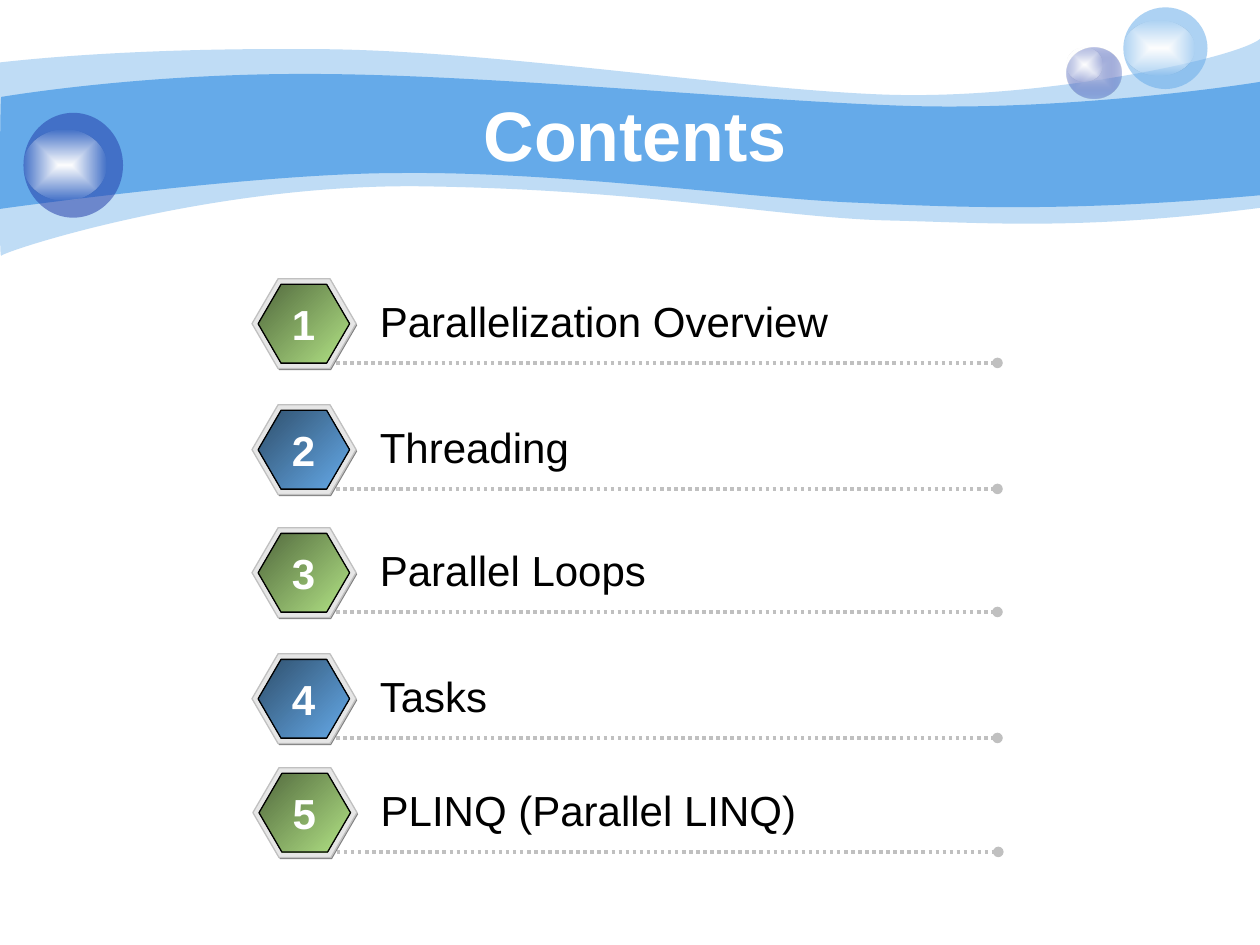
"""Build a contents slide with a wavy banner, glossy bubbles and five numbered entries."""
from dataclasses import dataclass

from lxml import etree
from pptx import Presentation
from pptx import util as u
from pptx.dml.color import RGBColor
from pptx.enum import dml, shapes, text
from pptx.oxml import parse_xml
from pptx.oxml.ns import nsdecls, qn

FONT = "Arial"
BLUE, NAVY, WHITE = "65AAE9", "233DA9", "FFFFFF"
GREEN_FACE, BLUE_FACE = ("52693E", "B2E385"), ("2F4F6C", BLUE)
RADIAL = ('<a:path path="rect"><a:fillToRect l="50000" t="50000" '
          'r="50000" b="50000"/></a:path>')
DIAGONAL = '<a:lin ang="2700000" scaled="1"/>'


@dataclass(frozen=True)
class Tint:
    color: str
    opacity: int = 100


@dataclass(frozen=True)
class Box:
    x: float
    y: float
    w: float
    h: float

    def lengths(self):
        return [u.Pt(v) for v in (self.x, self.y, self.w, self.h)]


@dataclass(frozen=True)
class Band:
    tint: Tint
    start: tuple
    segments: tuple


@dataclass(frozen=True)
class Bubble:
    body: Box
    shine: Box
    tints: tuple


@dataclass(frozen=True)
class Entry:
    label: str
    top: float
    face: tuple
    shift: float = 0


BANDS = (
    Band(Tint(BLUE, 41), (0, 35.7), (
        (17.3, 33.8, 77, 27.4, 177.8, 28.1), (277.9, 28.1, 414, 50.4, 503.3, 54),
        (591.8, 57.6, 705.6, 33.8, 720, 22.3), (720, 118.8),
        (617.8, 131.8, 566.6, 127.4, 507.6, 126),
        (447.8, 124.6, 370.8, 108.7, 247, 106.6),
        (123.8, 103.7, 2.9, 143.3, 0.7, 146.2), (-0.7, 149.8, 0, 54, 0, 35.7))),
    Band(Tint(BLUE), (0.7, 55.4), (
        (1.4, 55.4, 79.2, 41.8, 178.6, 42.3), (277.9, 42.5, 428.4, 57.6, 517, 60.5),
        (605.5, 63.4, 702.7, 49.7, 720, 46.8), (720, 111.6),
        (614.2, 121, 550.8, 118.8, 491, 115.9),
        (431.3, 113.8, 321.8, 97.9, 228.2, 98.9),
        (146.2, 98.9, -1.4, 119.5, -0.7, 119.5), (0, 119.5, 0, 55.4, 0.7, 55.4))),
)
BUBBLES = (
    Bubble(Box(609.6, 27, 31, 29.3), Box(609.6, 27.2, 20.3, 19.5),
           (Tint("C7CEE9"), Tint(NAVY, 31))),
    Bubble(Box(641.9, 4.2, 48.1, 46.7), Box(641.9, 12, 40.4, 31), (Tint(BLUE, 53),)),
    Bubble(Box(13.4, 64.5, 56.9, 59.9), Box(13.4, 74.2, 47.3, 40.2), (Tint(NAVY, 53),)),
)
ENTRIES = (
    Entry("Parallelization Overview", 159.2, GREEN_FACE),
    Entry("Threading", 231.2, BLUE_FACE),
    Entry("Parallel Loops", 301.5, GREEN_FACE),
    Entry("Tasks", 373.5, BLUE_FACE),
    Entry("PLINQ (Parallel LINQ)", 438.6, GREEN_FACE, 0.5),
)


def rgb(color: str) -> RGBColor:
    return RGBColor.from_string(color)


def paint(sp, tints: tuple, direction: str = RADIAL) -> None:
    sp.shadow.inherit = False
    sp.line.fill.background()
    if len(tints) == 1 and tints[0].opacity == 100:
        sp.fill.solid()
        sp.fill.fore_color.rgb = rgb(tints[0].color)
        return
    sp.fill.background()
    colors = [f'<a:srgbClr val="{t.color}"><a:alpha val="{t.opacity * 1000}"/></a:srgbClr>'
              for t in tints]
    if len(colors) == 1:
        xml = f'<a:solidFill {nsdecls("a")}>{colors[0]}</a:solidFill>'
    else:
        stops = "".join(f'<a:gs pos="{pos}">{c}</a:gs>' for pos, c in zip((0, 100000), colors))
        xml = f'<a:gradFill {nsdecls("a")}><a:gsLst>{stops}</a:gsLst>{direction}</a:gradFill>'
    spPr = sp._element.spPr
    spPr.replace(spPr.find(qn("a:noFill")), parse_xml(xml))


def add_band(s, band: Band) -> None:
    points = [(u.Pt(x), u.Pt(y)) for seg in band.segments for x, y in zip(seg[::2], seg[1::2])]
    builder = s.shapes.build_freeform(*(u.Pt(v) for v in band.start))
    builder.add_line_segments(points, close=True)
    sp = builder.convert_to_shape()
    steps = iter(list(sp._element.iter(qn("a:lnTo"))))
    for seg in band.segments:
        first, *rest = [next(steps) for _ in range(len(seg) // 2)]
        if rest:
            curve = etree.Element(qn("a:cubicBezTo"))
            first.addprevious(curve)
            for step in (first, *rest):
                curve.append(step[0])
                step.getparent().remove(step)
    paint(sp, (band.tint,))


def add_bubble(s, bubble: Bubble) -> None:
    shine = (Tint(WHITE), Tint(WHITE, 0))
    for box, tints in ((bubble.body, bubble.tints), (bubble.shine, shine)):
        paint(s.shapes.add_shape(shapes.MSO_SHAPE.OVAL, *box.lengths()), tints)


def add_hexagon(s, box: Box, colors: tuple, edge: str = "") -> None:
    sp = s.shapes.add_shape(shapes.MSO_SHAPE.HEXAGON, *box.lengths())
    sp.adjustments[0], sp.adjustments[1] = 0.29, 1.15
    paint(sp, tuple(Tint(c) for c in colors), DIAGONAL)
    if edge:
        sp.line.color.rgb = rgb(edge)
        sp.line.width = u.Pt(0.75)


def add_text(s, words: str, box: Box, size: float, color: str, bold: bool = False,
             centred: bool = False, wrap: bool = True) -> None:
    tf = s.shapes.add_textbox(*box.lengths()).text_frame
    tf.word_wrap = wrap
    tf.vertical_anchor = text.MSO_ANCHOR.MIDDLE
    p = tf.paragraphs[0]
    p.text = words
    p.alignment = text.PP_ALIGN.CENTER if centred else text.PP_ALIGN.LEFT
    p.font.name, p.font.size, p.font.bold = FONT, u.Pt(size), bold
    p.font.color.rgb = rgb(color)


def add_dotted_rule(s, x1: float, x2: float, y: float) -> None:
    line = s.shapes.add_connector(shapes.MSO_CONNECTOR.STRAIGHT,
                                  u.Pt(x1), u.Pt(y), u.Pt(x2), u.Pt(y))
    line.line.color.rgb = rgb("C0C0C0")
    line.line.width = u.Pt(2)
    line.line.dash_style = dml.MSO_LINE.ROUND_DOT
    spPr = line._element.spPr
    etree.SubElement(spPr.find(qn("a:ln")), qn("a:tailEnd"), type="oval")
    etree.SubElement(spPr, qn("a:effectLst"))


def add_entry(s, number: int, entry: Entry) -> None:
    x, y = 144 + entry.shift, entry.top
    add_hexagon(s, Box(x + 0.6, y + 0.9, 59.5, 51.5), ("808080",))
    add_hexagon(s, Box(x, y, 59.5, 51.5), ("E6E6E6",), "C0C0C0")
    add_hexagon(s, Box(x + 3.5, y + 3.2, 52.3, 45.2), entry.face, "000000")
    add_dotted_rule(s, x + 48, x + 426, y + 48.2)
    add_text(s, entry.label, Box(x + 66, y + 5.9, 388, 36), 24, "000000")
    add_text(s, str(number), Box(x + 15.7, y + 7.9, 27.4, 36), 24, WHITE,
             bold=True, centred=True, wrap=False)


def main() -> None:
    prs = Presentation()
    prs.slide_width, prs.slide_height = u.Pt(720), u.Pt(540)
    s = prs.slides.add_slide(prs.slide_layouts[6])
    for band in BANDS:
        add_band(s, band)
    for bubble in BUBBLES:
        add_bubble(s, bubble)
    add_text(s, "Contents", Box(72, 54, 581.8, 44.6), 40, WHITE, bold=True, centred=True)
    for number, entry in enumerate(ENTRIES, 1):
        add_entry(s, number, entry)
    prs.save("out.pptx")


if __name__ == "__main__":
    main()
